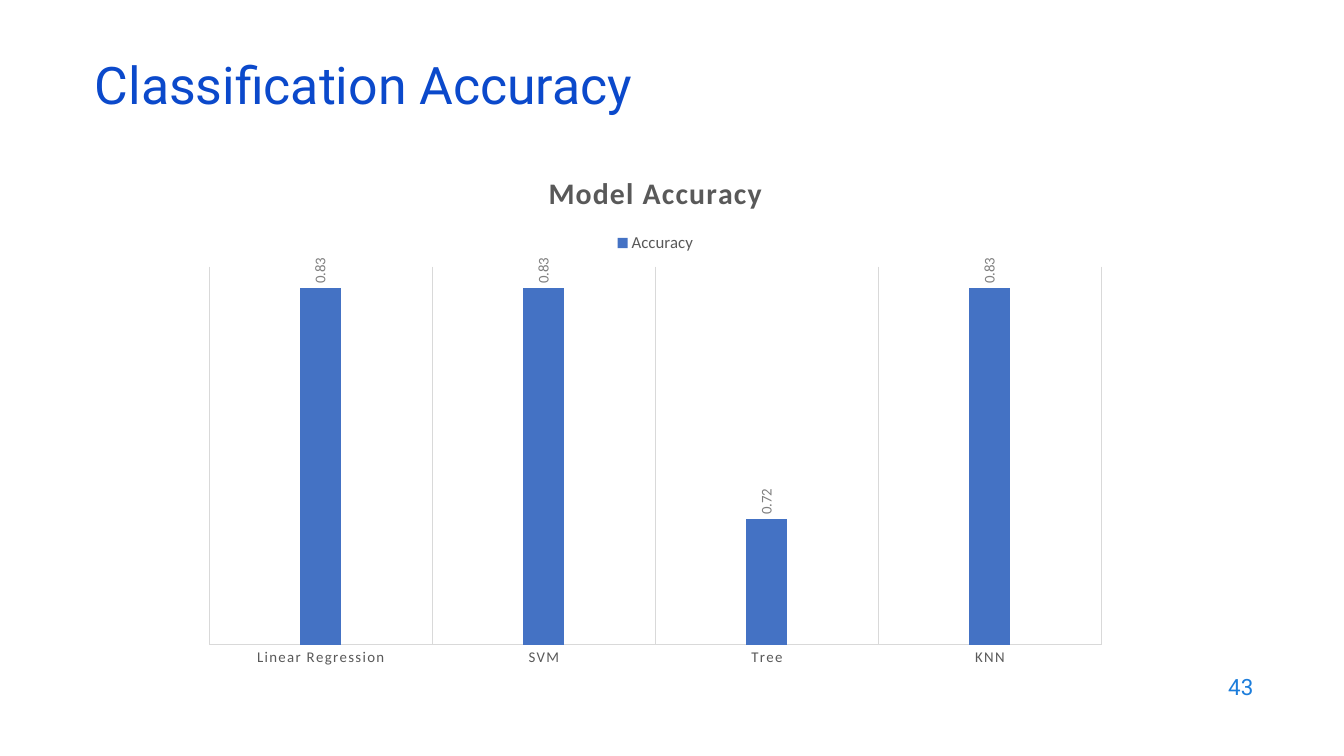
from lxml import etree
from pptx import Presentation
from pptx.chart.data import CategoryChartData
from pptx.dml.color import RGBColor
from pptx.enum.chart import (XL_CHART_TYPE, XL_LABEL_POSITION,
                             XL_LEGEND_POSITION, XL_TICK_MARK)
from pptx.enum.text import MSO_ANCHOR, MSO_AUTO_SIZE, PP_ALIGN
from pptx.oxml.ns import qn
from pptx.util import Inches, Pt

COLUMN = XL_CHART_TYPE.COLUMN_CLUSTERED
OUTSIDE = XL_LABEL_POSITION.OUTSIDE_END
TOP = XL_LEGEND_POSITION.TOP
NO_TICK = XL_TICK_MARK.NONE
MIDDLE = MSO_ANCHOR.MIDDLE
FIXED = MSO_AUTO_SIZE.NONE
LEFT, RIGHT = PP_ALIGN.LEFT, PP_ALIGN.RIGHT

NAVY = RGBColor(0x0B, 0x49, 0xCB)
SKY = RGBColor(0x1C, 0x7D, 0xDB)
BLUE = RGBColor(0x44, 0x72, 0xC4)
DARK = RGBColor(0x59, 0x59, 0x59)
GRAY = RGBColor(0x80, 0x80, 0x80)
PALE = RGBColor(0xD9, 0xD9, 0xD9)

TITLE = {"name": "Roboto", "size": Pt(37), "bold": False}
NUMBER = {"name": "Roboto", "size": Pt(16)}
HEAD = {"name": "Calibri", "size": Pt(21.3), "bold": True}
SMALL = {"name": "Calibri", "size": Pt(10.6), "bold": False}
LEGEND = {"name": "Calibri", "size": Pt(12)}

MODELS = {"Linear Regression": 0.83, "SVM": 0.83, "Tree": 0.72, "KNN": 0.83}
PLOT = {"x": 0.02, "y": 0.22, "w": 0.96, "h": 0.72}


def style(font, form, color):
    for key, value in form.items():
        setattr(font, key, value)
    font.color.rgb = color


def write(shape, box, text, form, color, align):
    shape.left, shape.top, shape.width, shape.height = map(Inches, box)
    frame = shape.text_frame
    frame.word_wrap = True
    frame.auto_size = FIXED
    frame.vertical_anchor = MIDDLE
    frame.text = text
    para = frame.paragraphs[0]
    para.alignment = align
    style(para.runs[0].font, form, color)
    return para


def rule(line):
    line.color.rgb = PALE
    line.width = Pt(0.75)


def place(plot):
    """Fix the inner plot area as shares of the chart."""
    old = plot.find(qn("c:layout"))
    if old is not None:
        plot.remove(old)
    layout = etree.Element(qn("c:layout"))
    plot.insert(0, layout)
    manual = etree.SubElement(layout, qn("c:manualLayout"))
    parts = {"layoutTarget": "inner", "xMode": "edge", "yMode": "edge", **PLOT}
    for tag, value in parts.items():
        etree.SubElement(manual, qn("c:" + tag)).set("val", str(value))


def add_bars(slide, box):
    data = CategoryChartData(number_format="0.00")
    data.categories = list(MODELS)
    data.add_series("Accuracy", list(MODELS.values()))
    chart = slide.shapes.add_chart(COLUMN, *map(Inches, box), data).chart
    chart.font.name = "Calibri"
    chart.font.size = Pt(10)
    place(chart.plots[0]._element.getparent())

    # Heading and legend
    chart.has_title = True
    chart.chart_title.include_in_layout = False
    frame = chart.chart_title.text_frame
    frame.text = "Model Accuracy"
    font = frame.paragraphs[0].runs[0].font
    style(font, HEAD, DARK)
    font._element.set("spc", "100")
    chart.has_legend = True
    chart.legend.position = TOP
    chart.legend.include_in_layout = False
    style(chart.legend.font, LEGEND, DARK)

    # Axes
    names = chart.category_axis
    names.major_tick_mark = names.minor_tick_mark = NO_TICK
    names.has_major_gridlines = True
    rule(names.major_gridlines.format.line)
    rule(names.format.line)
    font = names.tick_labels.font
    style(font, SMALL, DARK)
    font._element.set("spc", "100")
    scale = chart.value_axis
    scale.minimum_scale, scale.maximum_scale = 0.66, 0.84
    scale.has_major_gridlines = False
    scale.visible = False

    # Columns and upright values
    plot = chart.plots[0]
    plot.vary_by_categories = False
    plot.gap_width, plot.overlap = 444, -90
    bars = plot.series[0]
    bars.format.fill.solid()
    bars.format.fill.fore_color.rgb = BLUE
    labels = bars.data_labels
    labels.show_value = True
    labels.position = OUTSIDE
    labels.number_format = "0.00"
    labels.number_format_is_linked = False
    style(labels.font, SMALL, GRAY)
    body = labels._element.find(qn("c:txPr")).find(qn("a:bodyPr"))
    body.set("rot", "-5400000")
    body.set("vert", "horz")


def main():
    deck = Presentation()
    deck.slide_width, deck.slide_height = Inches(13.33), Inches(7.5)
    slide = deck.slides.add_slide(deck.slide_layouts[5])

    # Title
    para = write(slide.shapes.title, (0.84, 0.59, 11.5, 0.6),
                 "Classification Accuracy", TITLE, NAVY, LEFT)
    para.line_spacing = 0.8

    # Chart
    add_bars(slide, (1.89, 1.5, 9.22, 5.21))

    # Page number
    page = slide.shapes.add_textbox(0, 0, 0, 0)
    write(page, (9.53, 6.59, 3, 0.44), "43", NUMBER, SKY, RIGHT)
    deck.save("out.pptx")


if __name__ == "__main__":
    main()
